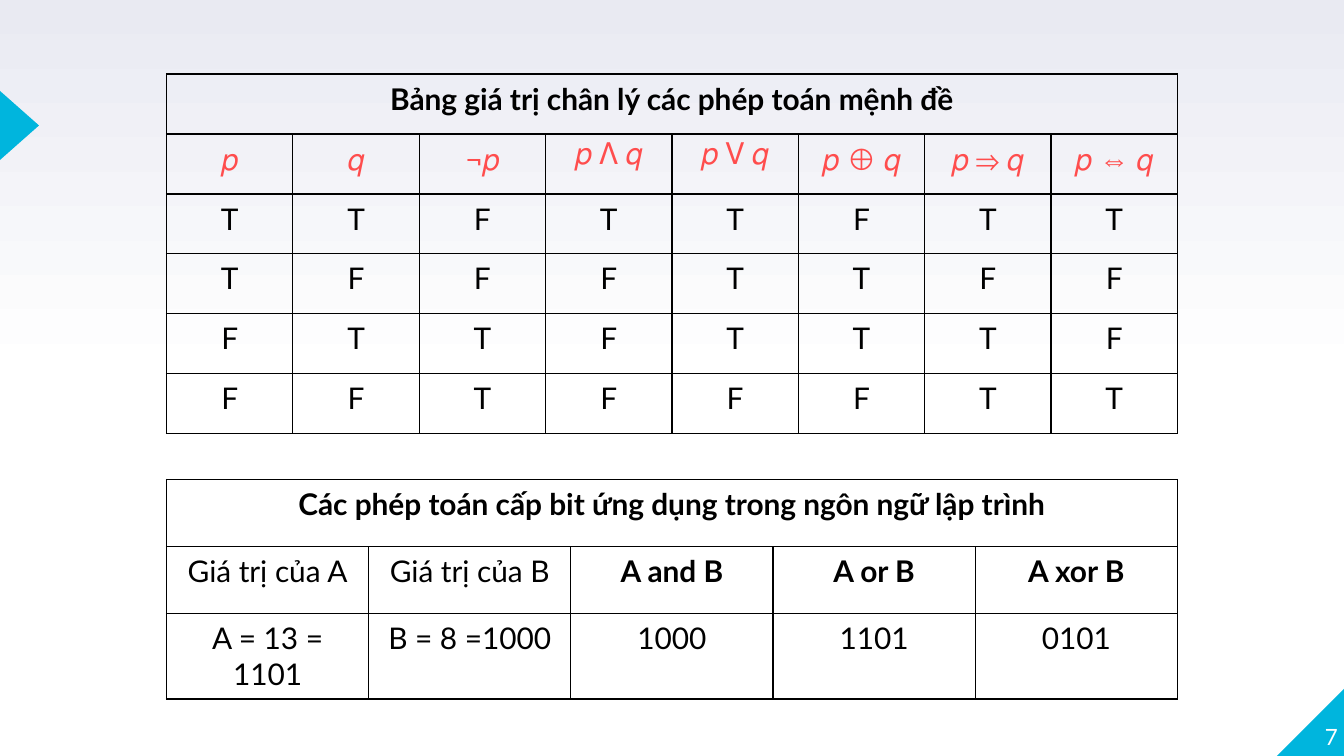
from copy import deepcopy

from lxml.etree import SubElement
from pptx import Presentation
from pptx.dml.color import RGBColor
from pptx.enum.shapes import MSO_SHAPE
from pptx.enum.text import MSO_ANCHOR, PP_ALIGN
from pptx.oxml.ns import qn
from pptx.util import Pt

# Content: a cell is a text, or a list of (text, font) pieces
LATO, TIMES = "Lato", "Times New Roman"
TRUTH_TITLE = "Bảng giá trị chân lý các phép toán mệnh đề"
OPERATIONS = [
    "𝑝", "𝑞", "¬𝑝", "𝑝 ꓥ 𝑞", "𝑝 ꓦ 𝑞",
    [("𝑝 ", LATO), ("⊕", TIMES), (" 𝑞", LATO)],
    "𝑝 ⇒ 𝑞",
    [("𝑝 ", LATO), ("⇔", TIMES), (" 𝑞", LATO)],
]
TRUTH_VALUES = ["TTFTTFTT", "TFFFTTFF", "FTTFTTTF", "FFTFFFTT"]
BIT_TITLE = "Các phép toán cấp bit ứng dụng trong ngôn ngữ lập trình"
BIT_HEADS = ["Giá trị của A", "Giá trị của B", "A and B", "A or B", "A xor B"]
BIT_VALUES = ["A = 13 = 1101", "B = 8 =1000", "1000", "1101", "0101"]
PAGE_NUMBER = "7"


class Theme:
    ink, accent, symbol = "000000", "00B5DD", "FF4D4D"
    white, haze = "FFFFFF", "E9EAF2"
    body, number, border = 16, 12, 0.75


def px(value):
    return round(value * 914400 / 134.4)


def write(frame, content, size=Theme.body, color=Theme.ink, bold=False, align=PP_ALIGN.CENTER):
    para = frame.paragraphs[0]
    para.alignment = align
    pieces = [(content, LATO)] if isinstance(content, str) else content
    for text, font in pieces:
        span = para.add_run()
        span.text = text
        span.font.name, span.font.size, span.font.bold = font, Pt(size), bold
        span.font.color.rgb = RGBColor.from_string(color)


def outline(cell):
    properties = cell._tc.get_or_add_tcPr()
    for side in ("lnL", "lnR", "lnT", "lnB"):
        line = SubElement(properties, qn(f"a:{side}"), w=str(Pt(Theme.border)))
        fill = SubElement(line, qn("a:solidFill"))
        SubElement(fill, qn("a:srgbClr"), val=Theme.ink)
    cell.fill.background()


def add_grid(page, top, row_height, title, rows):
    """Draw a titled table; rows hold (content, format) pairs."""
    count = len(rows[0])
    grid = page.shapes.add_table(len(rows) + 1, count, px(LEFT), px(top),
                                 px(WIDTH), px(row_height * (len(rows) + 1))).table
    grid.first_row = grid.horz_banding = False
    for column in grid.columns:
        column.width = px(WIDTH / count)
    for row in grid.rows:
        row.height = px(row_height)
    for cell in grid.iter_cells():
        outline(cell)
    grid.cell(0, 0).merge(grid.cell(0, count - 1))
    write(grid.cell(0, 0).text_frame, title, bold=True)
    for r, row in enumerate(rows, 1):
        for c, (content, style) in enumerate(row):
            write(grid.cell(r, c).text_frame, content, **style)


def add_triangle(page, kind, left, top, width, height):
    shape = page.shapes.add_shape(kind, px(left), px(top), px(width), px(height))
    shape.shadow.inherit = False
    shape.fill.solid()
    shape.fill.fore_color.rgb = RGBColor.from_string(Theme.accent)
    shape.line.fill.background()
    return shape


LEFT, WIDTH = 166.5, 1011

deck = Presentation()
deck.slide_width, deck.slide_height = px(1344), px(756)
page = deck.slides.add_slide(deck.slide_layouts[6])

# Background: haze at the top, fading to white at the middle
backdrop = page.background.fill
backdrop.gradient()
backdrop.gradient_angle = 90
stop_list = next(page.element.iter(qn("a:gsLst")))
stop_list.insert(1, deepcopy(stop_list[0]))
stops = [(0, Theme.white), (0.5, Theme.white), (1, Theme.haze)]
for stop, (position, color) in zip(backdrop.gradient_stops, stops):
    stop.position = position
    stop.color.rgb = RGBColor.from_string(color)

# Corner and side triangles
corner = add_triangle(page, MSO_SHAPE.RIGHT_TRIANGLE, 1277, 687, 69, 69)
corner.element.spPr.find(qn("a:xfrm")).set("flipH", "1")
add_triangle(page, MSO_SHAPE.ISOSCELES_TRIANGLE, -15, 106, 69, 39).rotation = 90

# Page number
box = page.shapes.add_textbox(px(1271), px(681), px(67), px(69))
frame = box.text_frame
frame.word_wrap = True
frame.vertical_anchor = MSO_ANCHOR.BOTTOM
frame.margin_left = frame.margin_right = frame.margin_top = frame.margin_bottom = 0
write(frame, PAGE_NUMBER, size=Theme.number, color=Theme.white, align=PP_ALIGN.RIGHT)

# Tables
add_grid(page, 74, 60, TRUTH_TITLE,
         [[(symbol, {"color": Theme.symbol}) for symbol in OPERATIONS]]
         + [[(value, {}) for value in row] for row in TRUTH_VALUES])
add_grid(page, 479.5, 67.2, BIT_TITLE,
         [[(head, {"bold": c >= 2}) for c, head in enumerate(BIT_HEADS)],
          [(value, {}) for value in BIT_VALUES]])

deck.save("out.pptx")
